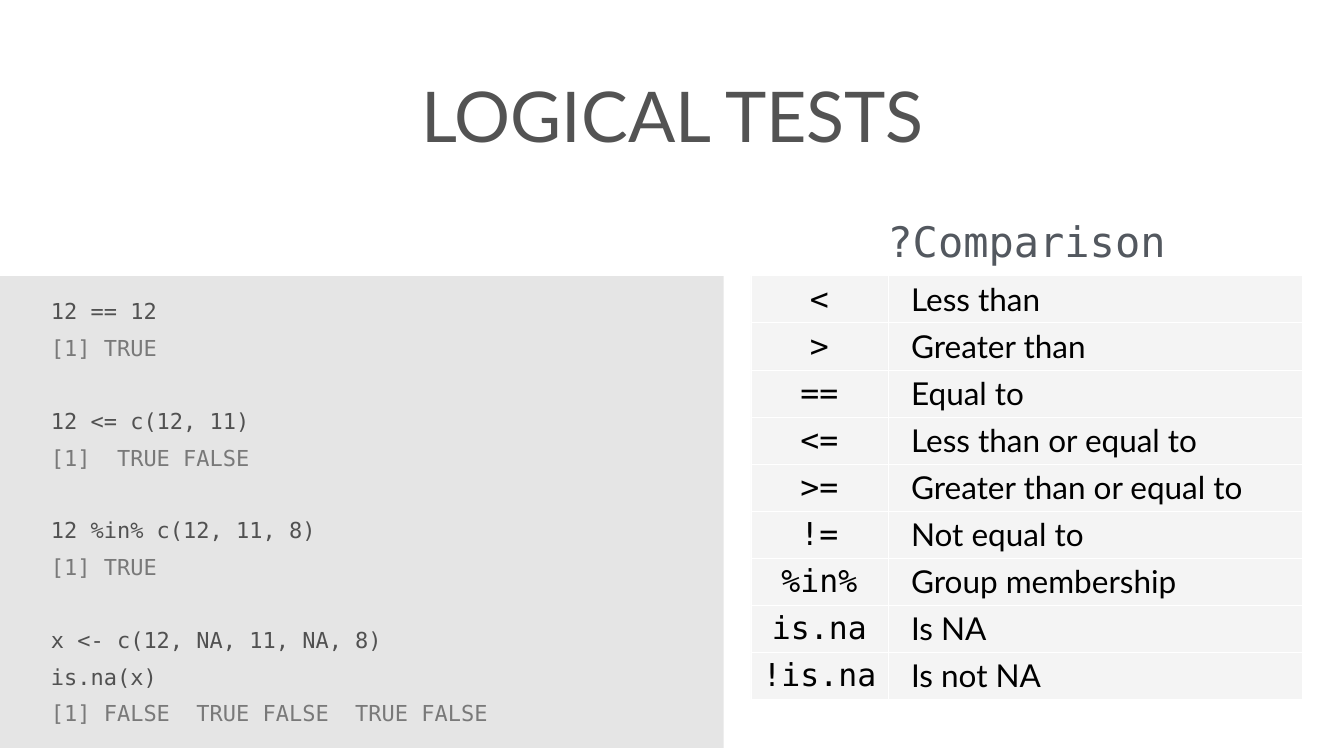
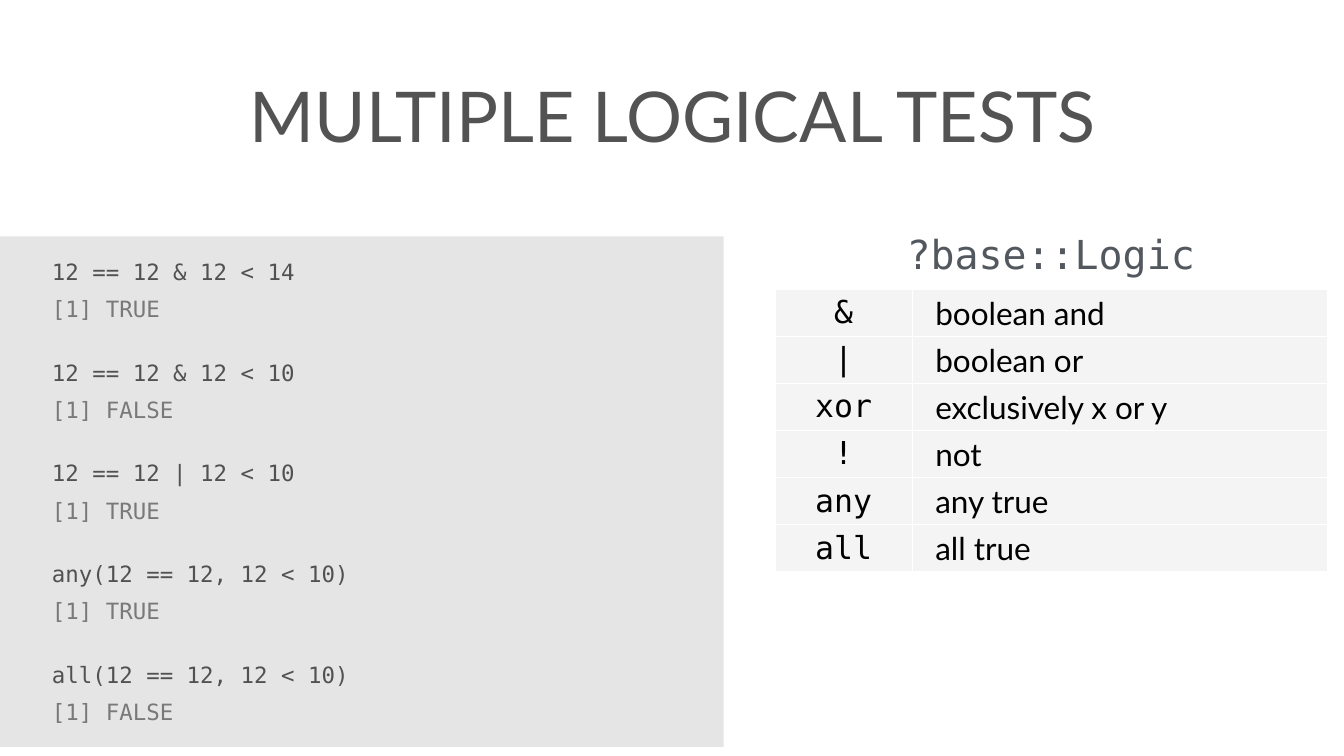
from lxml.etree import SubElement
from pptx import Presentation
from pptx.dml.color import RGBColor
from pptx.enum.shapes import MSO_SHAPE
from pptx.enum.text import MSO_ANCHOR, PP_ALIGN
from pptx.oxml import parse_xml
from pptx.oxml.ns import nsdecls, qn
from pptx.util import Inches, Pt

# Shared style
SANS, MONO = "Lato", "DejaVu Sans Mono"
TITLE_COLOR = RGBColor(0x53, 0x53, 0x53)
HEADING_COLOR = RGBColor(0x53, 0x58, 0x5F)
CODE_COLOR = RGBColor(0x51, 0x51, 0x51)
OUTPUT_COLOR = RGBColor(0x79, 0x79, 0x79)
PANEL_COLOR = RGBColor(0xE5, 0xE5, 0xE5)
CELL_COLOR = RGBColor(0xEB, 0xEB, 0xEB)
BLACK = RGBColor(0, 0, 0)
MARGIN = Inches(0.06)
COLUMN_WIDTHS = (2.72, 8.23)
ROW_HEIGHT = 0.934
LINE_SPACE = 14.8

# Code blocks are groups of lines; lines starting with "[1]" are output
SLIDES = [
    {
        "title": "LOGICAL TESTS",
        "heading": "?Comparison", "heading_at": (17.43, 4.2),
        "heading_size": 60, "heading_space": 12, "heading_align": PP_ALIGN.CENTER,
        "table_at": (14.9, 5.47),
        "rows": [
            ("<", "Less than"), (">", "Greater than"), ("==", "Equal to"),
            ("<=", "Less than or equal to"), (">=", "Greater than or equal to"),
            ("!=", "Not equal to"), ("%in%", "Group membership"),
            ("is.na", "Is NA"), ("!is.na", "Is not NA"),
        ],
        "panel_top": 5.48, "panel_height": 9.36,
        "code_size": 31.4, "code_indent": 0.95, "group_gap": 51.4,
        "code": [
            ("12 == 12", "[1] TRUE"),
            ("12 <= c(12, 11)", "[1]  TRUE FALSE"),
            ("12 %in% c(12, 11, 8)", "[1] TRUE"),
            ("x <- c(12, NA, 11, NA, 8)", "is.na(x)",
             "[1] FALSE  TRUE FALSE  TRUE FALSE"),
        ],
    },
    {
        "title": "MULTIPLE LOGICAL TESTS",
        "heading": "?base::Logic", "heading_at": (17.91, 4.47),
        "heading_size": 57, "heading_space": 11, "heading_align": PP_ALIGN.LEFT,
        "table_at": (15.38, 5.74),
        "rows": [
            ("&", "boolean and"), ("|", "boolean or"), ("xor", "exclusively x or y"),
            ("!", "not"), ("any", "any true"), ("all", "all true"),
        ],
        "panel_top": 4.69, "panel_height": 10.13,
        "code_size": 32, "code_indent": 0.97, "group_gap": 37.4,
        "code": [
            ("12 == 12 & 12 < 14", "[1] TRUE"),
            ("12 == 12 & 12 < 10", "[1] FALSE"),
            ("12 == 12 | 12 < 10", "[1] TRUE"),
            ("any(12 == 12, 12 < 10)", "[1] TRUE"),
            ("all(12 == 12, 12 < 10)", "[1] FALSE"),
        ],
    },
]


def write(paragraph, text, size, font, color, align=PP_ALIGN.LEFT, space=0, indent=0):
    paragraph.text = text
    paragraph.alignment = align
    paragraph.space_before = Pt(space)
    paragraph.font.size = Pt(size)
    paragraph.font.name = font
    paragraph.font.color.rgb = color
    if indent:
        paragraph._p.get_or_add_pPr().set("indent", str(Inches(indent)))


def set_margins(target, margin):
    target.margin_left = target.margin_right = margin
    target.margin_top = target.margin_bottom = margin


presentation = Presentation()
presentation.slide_width = Inches(26.67)
presentation.slide_height = Inches(15)

for content in SLIDES:
    slide = presentation.slides.add_slide(presentation.slide_layouts[6])

    # Title
    title = slide.shapes.add_textbox(Inches(0.74), Inches(0.39), Inches(25.21), Inches(3.75))
    title.text_frame.word_wrap = True
    title.text_frame.vertical_anchor = MSO_ANCHOR.MIDDLE
    set_margins(title.text_frame, MARGIN)
    write(title.text_frame.paragraphs[0], content["title"], 100, SANS, TITLE_COLOR,
          PP_ALIGN.CENTER)

    # Help page heading above the table
    left, top = content["heading_at"]
    heading = slide.shapes.add_textbox(Inches(left), Inches(top), Inches(5.88), Inches(1.23))
    heading.text_frame.word_wrap = False
    set_margins(heading.text_frame, Inches(0.08))
    write(heading.text_frame.paragraphs[0], content["heading"], content["heading_size"],
          MONO, HEADING_COLOR, content["heading_align"], content["heading_space"])

    # Operator table
    rows = content["rows"]
    left, top = content["table_at"]
    table = slide.shapes.add_table(
        len(rows), 2, Inches(left), Inches(top),
        Inches(sum(COLUMN_WIDTHS)), Inches(ROW_HEIGHT * len(rows))).table
    table.first_row = False
    table.horz_banding = False
    for column, width in zip(table.columns, COLUMN_WIDTHS):
        column.width = Inches(width)
    for row_index, (operator, meaning) in enumerate(rows):
        table.rows[row_index].height = Inches(ROW_HEIGHT)
        operator_cell, meaning_cell = table.rows[row_index].cells
        write(operator_cell.text_frame.paragraphs[0], operator, 45, MONO, BLACK,
              PP_ALIGN.CENTER)
        write(meaning_cell.text_frame.paragraphs[0], meaning, 45, SANS, BLACK, indent=0.4)
        for cell in (operator_cell, meaning_cell):
            cell.vertical_anchor = MSO_ANCHOR.MIDDLE
            set_margins(cell, MARGIN)
            cell.fill.solid()
            cell.fill.fore_color.rgb = CELL_COLOR
            properties = cell._tc.tcPr
            # Half transparent fill, thin white borders
            color = properties.find(qn("a:solidFill")).find(qn("a:srgbClr"))
            SubElement(color, qn("a:alpha")).set("val", "50000")
            for position, side in enumerate("LRTB"):
                properties.insert(position, parse_xml(
                    f'<a:ln{side} {nsdecls("a")} w="12700"><a:solidFill>'
                    f'<a:srgbClr val="FFFFFF"/></a:solidFill></a:ln{side}>'))

    # Code panel
    panel = slide.shapes.add_shape(
        MSO_SHAPE.RECTANGLE, 0, Inches(content["panel_top"]),
        Inches(14.36), Inches(content["panel_height"]))
    panel.shadow.inherit = False
    panel.fill.solid()
    panel.fill.fore_color.rgb = PANEL_COLOR
    panel.line.fill.background()
    frame = panel.text_frame
    frame.word_wrap = True
    frame.vertical_anchor = MSO_ANCHOR.MIDDLE
    set_margins(frame, MARGIN)
    paragraph = frame.paragraphs[0]
    for group_index, group in enumerate(content["code"]):
        for line_index, line in enumerate(group):
            if group_index or line_index:
                paragraph = frame.add_paragraph()
            starts_group = group_index > 0 and line_index == 0
            space = LINE_SPACE + (content["group_gap"] if starts_group else 0)
            color = OUTPUT_COLOR if line.startswith("[1]") else CODE_COLOR
            write(paragraph, line, content["code_size"], MONO, color,
                  space=space, indent=content["code_indent"])

presentation.save("out.pptx")
